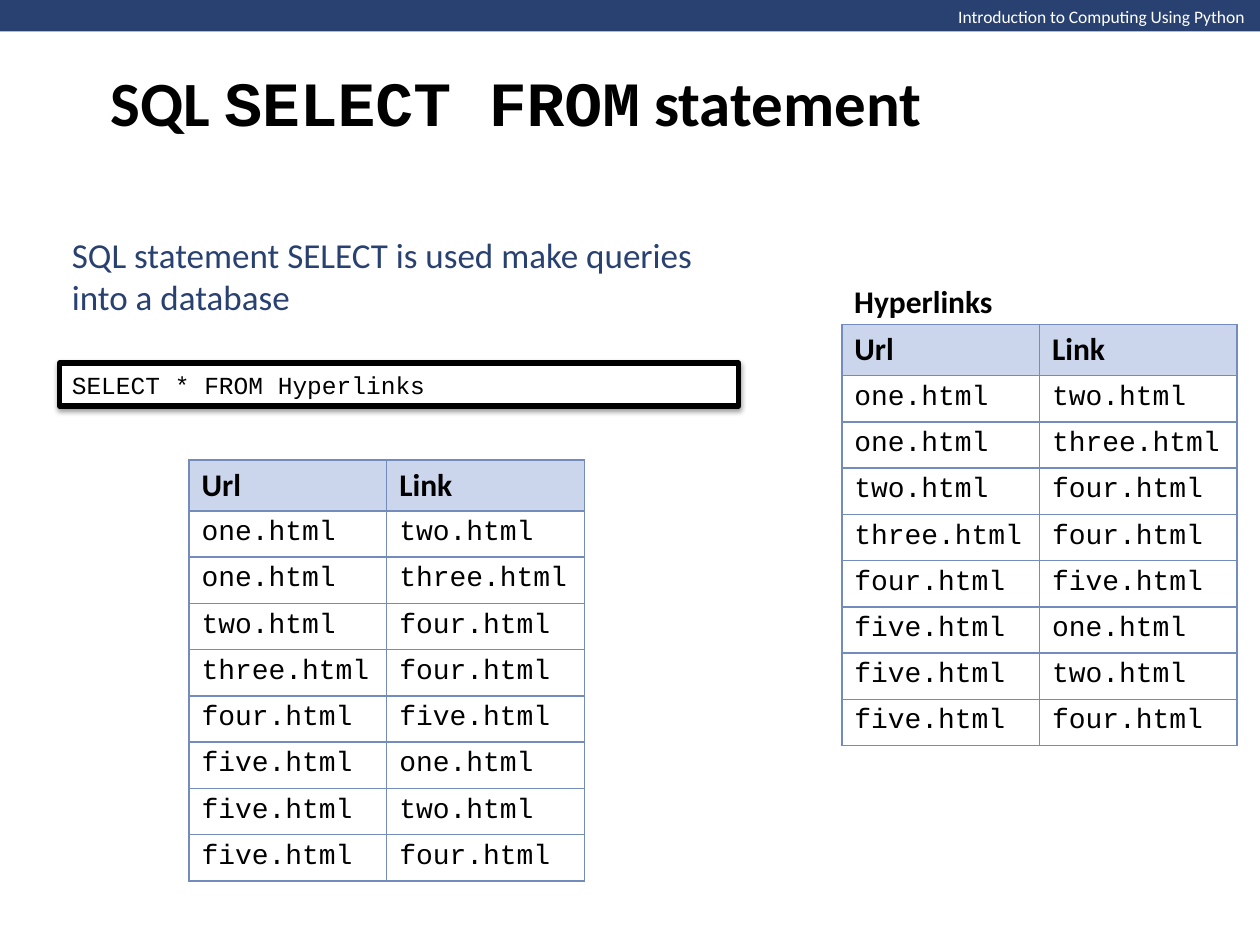
from dataclasses import dataclass

from lxml.etree import SubElement
from pptx import Presentation
from pptx.dml.color import RGBColor
from pptx.enum.shapes import MSO_SHAPE
from pptx.enum.text import MSO_ANCHOR, MSO_AUTO_SIZE, PP_ALIGN
from pptx.oxml import parse_xml
from pptx.oxml.ns import nsdecls, qn
from pptx.util import Pt

NAVY = RGBColor(0x29, 0x41, 0x71)
HEADER_BLUE = RGBColor(0xCB, 0xD6, 0xEC)
BORDER_BLUE = RGBColor(0x74, 0x8C, 0xBC)
BLACK = RGBColor(0, 0, 0)
WHITE = RGBColor(0xFF, 0xFF, 0xFF)
SANS = "Calibri"
MONO = "Courier New"
COLUMN_WIDTH = 113
HEADER_HEIGHT = 29.2
ROW_HEIGHT = 26.35

HYPERLINKS = [
    ("Url", "Link"),
    ("one.html", "two.html"),
    ("one.html", "three.html"),
    ("two.html", "four.html"),
    ("three.html", "four.html"),
    ("four.html", "five.html"),
    ("five.html", "one.html"),
    ("five.html", "two.html"),
    ("five.html", "four.html"),
]


@dataclass
class Style:
    """Look of a run of text."""
    size: float
    font: str = SANS
    color: RGBColor = BLACK
    bold: bool = False


@dataclass
class Label:
    """A text box: its place in points and its styled runs."""
    left: float
    top: float
    width: float
    height: float
    runs: list[tuple[str, Style]]
    anchor: MSO_ANCHOR = MSO_ANCHOR.MIDDLE
    wrap: bool = True
    grow: bool = True


def write(paragraph, runs: list[tuple[str, Style]]) -> None:
    """Add styled runs to a paragraph."""
    paragraph.alignment = PP_ALIGN.LEFT
    for words, style in runs:
        run = paragraph.add_run()
        run.text = words
        run.font.size = Pt(style.size)
        run.font.name = style.font
        run.font.bold = style.bold
        run.font.color.rgb = style.color


def add_label(slide, label: Label) -> None:
    """Draw one text box."""
    box = slide.shapes.add_textbox(
        Pt(label.left), Pt(label.top), Pt(label.width), Pt(label.height))
    frame = box.text_frame
    frame.word_wrap = label.wrap
    frame.vertical_anchor = label.anchor
    frame.auto_size = (
        MSO_AUTO_SIZE.SHAPE_TO_FIT_TEXT if label.grow else MSO_AUTO_SIZE.NONE)
    write(frame.paragraphs[0], label.runs)


def add_rectangle(slide, left: float, top: float, width: float,
                  height: float, fill: RGBColor):
    """Draw a plain filled rectangle without outline or shadow."""
    rectangle = slide.shapes.add_shape(
        MSO_SHAPE.RECTANGLE, Pt(left), Pt(top), Pt(width), Pt(height))
    rectangle.shadow.inherit = False
    rectangle.fill.solid()
    rectangle.fill.fore_color.rgb = fill
    rectangle.line.fill.background()
    return rectangle


def add_query(slide, query: str) -> None:
    """Draw the outlined query box with its soft shadow."""
    box = add_rectangle(slide, 34, 207.5, 388, 24.5, WHITE)
    box.line.color.rgb = BLACK
    box.line.width = Pt(3)
    effects = box._element.spPr.find(qn("a:effectLst"))
    effects.append(parse_xml(
        f'<a:outerShdw {nsdecls("a")} blurRad="{Pt(3.1)}" dist="{Pt(1.6)}" '
        'dir="5400000" rotWithShape="0"><a:srgbClr val="000000">'
        '<a:alpha val="38000"/></a:srgbClr></a:outerShdw>'))
    frame = box.text_frame
    frame.word_wrap = True
    frame.auto_size = MSO_AUTO_SIZE.SHAPE_TO_FIT_TEXT
    frame.vertical_anchor = MSO_ANCHOR.MIDDLE
    write(frame.paragraphs[0], [(query, Style(14, MONO))])


def outline_cell(cell) -> None:
    """Put a thin border on all four sides, ahead of the cell fill."""
    properties = cell._tc.get_or_add_tcPr()
    for position, side in enumerate(("a:lnL", "a:lnR", "a:lnT", "a:lnB")):
        border = SubElement(properties, qn(side), w=str(Pt(1)))
        solid = SubElement(border, qn("a:solidFill"))
        SubElement(solid, qn("a:srgbClr"), val=str(BORDER_BLUE))
        properties.insert(position, border)


def add_links_table(slide, left: float, top: float) -> None:
    """Draw the table of hyperlinks at the given place."""
    rows, columns = len(HYPERLINKS), len(HYPERLINKS[0])
    height = HEADER_HEIGHT + (rows - 1) * ROW_HEIGHT
    table = slide.shapes.add_table(
        rows, columns, Pt(left), Pt(top),
        Pt(columns * COLUMN_WIDTH), Pt(height)).table
    table.horz_banding = False
    for column in table.columns:
        column.width = Pt(COLUMN_WIDTH)
    for index, values in enumerate(HYPERLINKS):
        is_header = index == 0
        table.rows[index].height = Pt(HEADER_HEIGHT if is_header else ROW_HEIGHT)
        style = Style(18, bold=True) if is_header else Style(16, MONO)
        for cell, value in zip(table.rows[index].cells, values):
            cell.fill.solid()
            cell.fill.fore_color.rgb = HEADER_BLUE if is_header else WHITE
            outline_cell(cell)
            write(cell.text_frame.paragraphs[0], [(value, style)])


def main() -> None:
    """Build the slide and save it."""
    presentation = Presentation()
    presentation.slide_width = Pt(720)
    presentation.slide_height = Pt(540)
    slide = presentation.slides.add_slide(presentation.slide_layouts[6])

    title_sans = Style(36, bold=True)
    title_mono = Style(36, MONO, bold=True)
    add_rectangle(slide, 0, 0, 720, 18, NAVY)
    add_label(slide, Label(
        540.5, 0, 180, 19.4,
        [("Introduction to Computing Using Python", Style(10, color=WHITE))],
        anchor=MSO_ANCHOR.TOP, wrap=False))
    add_label(slide, Label(
        56, 0, 612, 116,
        [("SQL ", title_sans), ("SELECT FROM", title_mono),
         (" statement", title_sans)], grow=False))
    add_links_table(slide, 481, 185.5)
    add_query(slide, "SELECT * FROM Hyperlinks")
    add_label(slide, Label(
        481, 157.7, 94.3, 29, [("Hyperlinks", Style(18, bold=True))],
        wrap=False))
    add_label(slide, Label(
        34, 129.6, 388, 55.7,
        [("SQL statement SELECT is used make queries into a database",
          Style(20, color=NAVY))]))
    add_links_table(slide, 108, 262.8)
    presentation.save("out.pptx")


main()
